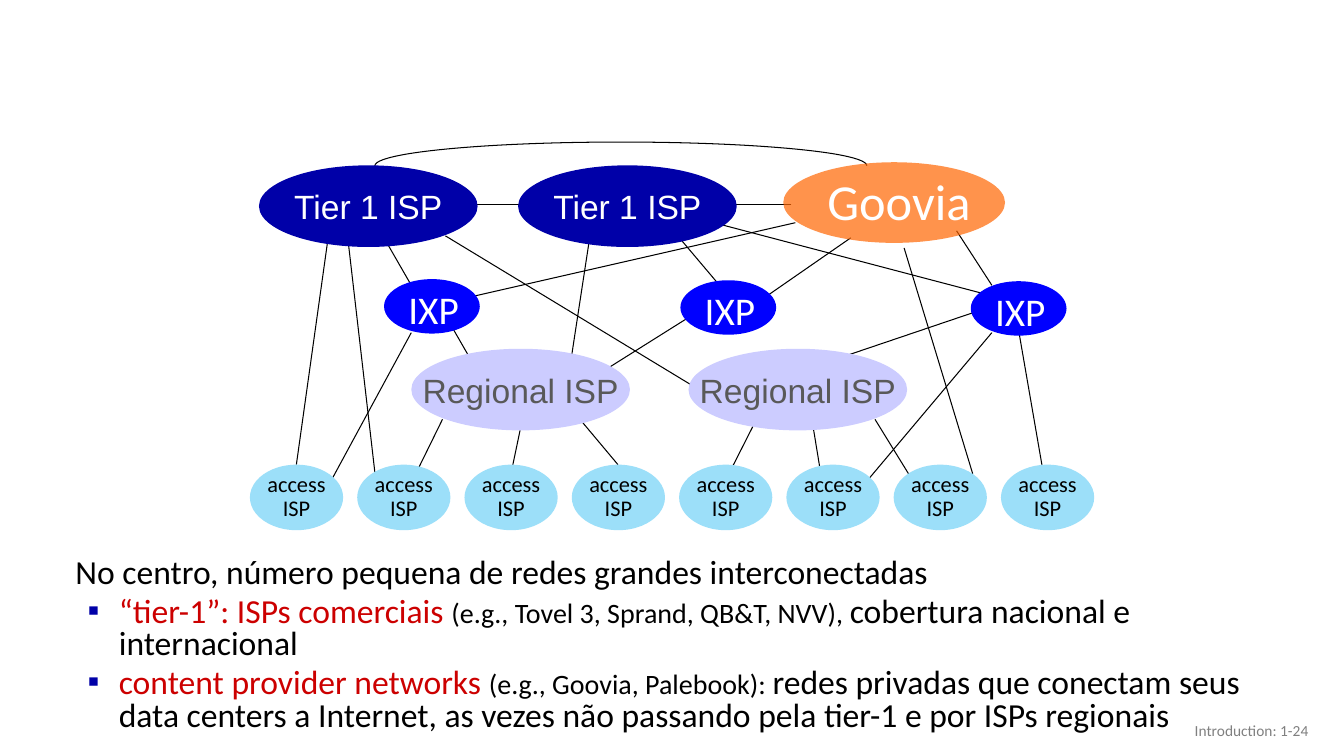
import pptx
import pptx.util
import pptx.dml.color
import pptx.enum.shapes
import pptx.enum.text
import pptx.oxml.ns
import lxml.etree

Pt = pptx.util.Pt
RGB = pptx.dml.color.RGBColor
SHAPE = pptx.enum.shapes.MSO_SHAPE
ALIGN = pptx.enum.text.PP_ALIGN
ANCHOR = pptx.enum.text.MSO_ANCHOR
qn = pptx.oxml.ns.qn

BLACK = RGB(0x00, 0x00, 0x00)
WHITE = RGB(0xFF, 0xFF, 0xFF)
NAVY = RGB(0x00, 0x00, 0xA8)
BLUE = RGB(0x00, 0x00, 0xFF)
LAVENDER = RGB(0xCC, 0xCC, 0xFF)
SKY = RGB(0x9C, 0xDF, 0xF9)
ORANGE = RGB(0xFF, 0x66, 0x00)
RED = RGB(0xCC, 0x00, 0x00)
DARK_GRAY = RGB(0x59, 0x59, 0x59)
GRAY = RGB(0x80, 0x80, 0x80)

# Link ends inside the diagram: x1, y1, x2, y2
LINKS = [
    # Regional ISPs to access ISPs
    (193, 205.9, 185.1, 243.4), (137.6, 198, 115.3, 243.4),
    (229.7, 190.8, 262.9, 230.4), (361.5, 198.7, 338.5, 244.1),
    (402.5, 204.5, 409, 244.1), (446.5, 198, 478.9, 250.6),
    # Tier 1 ISPs and the content provider to access ISPs
    (57.7, 55.5, 33.2, 230.4), (69.9, 68.4, 90.8, 249.1),
    (467.3, 75.6, 516.3, 236.9),
    # IXPs to access ISPs
    (115.3, 136.1, 54.1, 249.1), (549.4, 136.1, 568.1, 244.1),
    (530, 136.1, 434.2, 249.9),
    # Between the large networks
    (201.7, 44.7, 159.9, 44.7), (386.7, 44.7, 344.9, 44.7),
    # Large networks to IXPs
    (504.8, 63.4, 530, 102.3), (95.8, 68.4, 115.3, 102.3),
    (389.6, 57.6, 140.5, 114.5), (306.8, 68.4, 338.5, 105.9),
    (429.2, 68.4, 363.7, 113.8), (334.1, 58.3, 525.7, 108.7),
    # Tier 1 ISPs and IXPs to regional ISPs
    (242.7, 68.4, 229.7, 153.4), (139.7, 67, 319, 175.7),
    (140.5, 125.3, 159.9, 159.1), (313.3, 125.3, 249.2, 165.6),
    (523.5, 119.5, 421.3, 154.1),
]

POINTS = [
    [("“tier-1”: ISPs comerciais ", RED, 24),
     ("(e.g., Tovel 3, Sprand, QB&T, NVV), ", BLACK, 20),
     ("cobertura nacional e internacional", BLACK, 24)],
    [("content provider networks ", RED, 24),
     ("(e.g., Goovia, Palebook): ", BLACK, 20),
     ("redes privadas que conectam seus data centers a Internet, as vezes não "
      "passando pela tier-1 e por ISPs regionais", BLACK, 24)],
]


def write(paragraph, text, size=24, color=BLACK, font="Calibri", align=None, spacing=None):
    """Add one run of text to a paragraph."""
    run = paragraph.add_run()
    run.text = text
    run.font.size = Pt(size)
    run.font.name = font
    run.font.color.rgb = color
    if align is not None:
        paragraph.alignment = align
    if spacing is not None:
        paragraph.line_spacing = spacing


def add_text_frame(slide, left, top, width, height, wrap=True):
    frame = slide.shapes.add_textbox(Pt(left), Pt(top), Pt(width), Pt(height)).text_frame
    frame.word_wrap = wrap
    return frame


def add_node(slide, left, top, width, height, fill, lines=(), **text_format):
    """Ellipse with centred lines of text."""
    node = slide.shapes.add_shape(SHAPE.OVAL, Pt(left), Pt(top), Pt(width), Pt(height))
    node.shadow.inherit = False
    node.fill.solid()
    node.fill.fore_color.rgb = fill
    node.line.fill.background()
    frame = node.text_frame
    frame.word_wrap = False
    frame.vertical_anchor = ANCHOR.MIDDLE
    for index, line in enumerate(lines):
        paragraph = frame.add_paragraph() if index else frame.paragraphs[0]
        write(paragraph, line, align=ALIGN.CENTER, **text_format)
    return node


def add_links(slide, left, top):
    for x1, y1, x2, y2 in LINKS:
        link = slide.shapes.add_connector(
            pptx.enum.shapes.MSO_CONNECTOR.STRAIGHT,
            Pt(left + x1), Pt(top + y1), Pt(left + x2), Pt(top + y2))
        link.line.color.rgb = BLACK
        link.line.width = Pt(0.75)
        lxml.etree.SubElement(link._element.spPr, qn("a:effectLst"))

    # Arc from the first Tier 1 ISP to the content provider
    arc = slide.shapes.add_shape(SHAPE.ARC, Pt(left + 89.3), Pt(top), Pt(351.4), Pt(33.8))
    arc.adjustments[0] = 106.819
    arc.adjustments[1] = 0
    arc.shadow.inherit = False
    arc.fill.background()
    arc.line.color.rgb = BLACK
    arc.line.width = Pt(0.75)


def add_network(slide, left, top):
    add_links(slide, left, top)

    # Tier 1 and regional ISPs
    for x in (6.5, 191.6):
        add_node(slide, left + x, top + 16.6, 156.2, 58.3, NAVY,
                 ["Tier 1 ISP"], color=WHITE, font="Arial")
    for x in (115.3, 313.3):
        add_node(slide, left + x, top + 147.6, 156.2, 58.3, LAVENDER,
                 ["Regional ISP"], color=DARK_GRAY, font="Arial")

    # Access ISPs
    for column in range(8):
        add_node(slide, left + column * 76.64, top + 230.4, 66.6, 46.8, SKY,
                 ["access", "ISP"], size=16, spacing=0.9)

    # Exchange points
    for x, y in ((95.8, 97.9), (307.5, 98.7), (514.9, 99.4)):
        add_node(slide, left + x, top + y, 68.4, 38.9, BLUE)
        label = add_text_frame(slide, left + x + 10.3, top + y + 0.7, 51.1, 38.9, wrap=False)
        write(label.paragraphs[0], "IXP", size=28, color=WHITE)

    # Content provider
    provider = add_node(slide, left + 381, top + 14.4, 158.4, 57.6, ORANGE)
    color = provider._element.spPr.find(".//" + qn("a:srgbClr"))
    lxml.etree.SubElement(color, qn("a:alpha"), val="70000")
    label = add_text_frame(slide, left + 405.4, top + 16.6, 119.5, 51.1, wrap=False)
    write(label.paragraphs[0], "Goovia", size=36, color=WHITE)


def add_bullet(paragraph):
    properties = paragraph._p.get_or_add_pPr()
    properties.set("marL", str(Pt(36)))
    properties.set("indent", str(Pt(-22.3)))
    bullet_color = lxml.etree.SubElement(properties, qn("a:buClr"))
    lxml.etree.SubElement(bullet_color, qn("a:srgbClr"), val=str(NAVY))
    lxml.etree.SubElement(properties, qn("a:buFont"), typeface="Arial")
    lxml.etree.SubElement(properties, qn("a:buChar"), char="▪")


def add_explanation(slide, left, top, width, height):
    frame = add_text_frame(slide, left, top, width, height)
    lead = frame.paragraphs[0]
    lead.space_before = Pt(10)
    lead._p.get_or_add_pPr().set("marL", str(Pt(5)))
    write(lead, "No centro, número pequena de redes grandes interconectadas", spacing=0.8)
    for parts in POINTS:
        point = frame.add_paragraph()
        point.level = 1
        point.space_before = Pt(5)
        for text, color, size in parts:
            write(point, text, color=color, size=size, spacing=0.8)
        add_bullet(point)


def add_page_label(slide, left, top, width, height):
    frame = add_text_frame(slide, left, top, width, height)
    frame.vertical_anchor = ANCHOR.MIDDLE
    write(frame.paragraphs[0], "Introduction: 1-24", size=11, color=GRAY, align=ALIGN.RIGHT)


def main():
    deck = pptx.Presentation()
    deck.slide_width = Pt(960)
    deck.slide_height = Pt(540)
    slide = deck.slides.add_slide(deck.slide_layouts[6])
    add_page_label(slide, 725.8, 507.6, 216, 28.8)
    add_network(slide, 178.5, 101.5)
    add_explanation(slide, 41.8, 395.3, 888.5, 144)
    deck.save("out.pptx")


if __name__ == "__main__":
    main()
